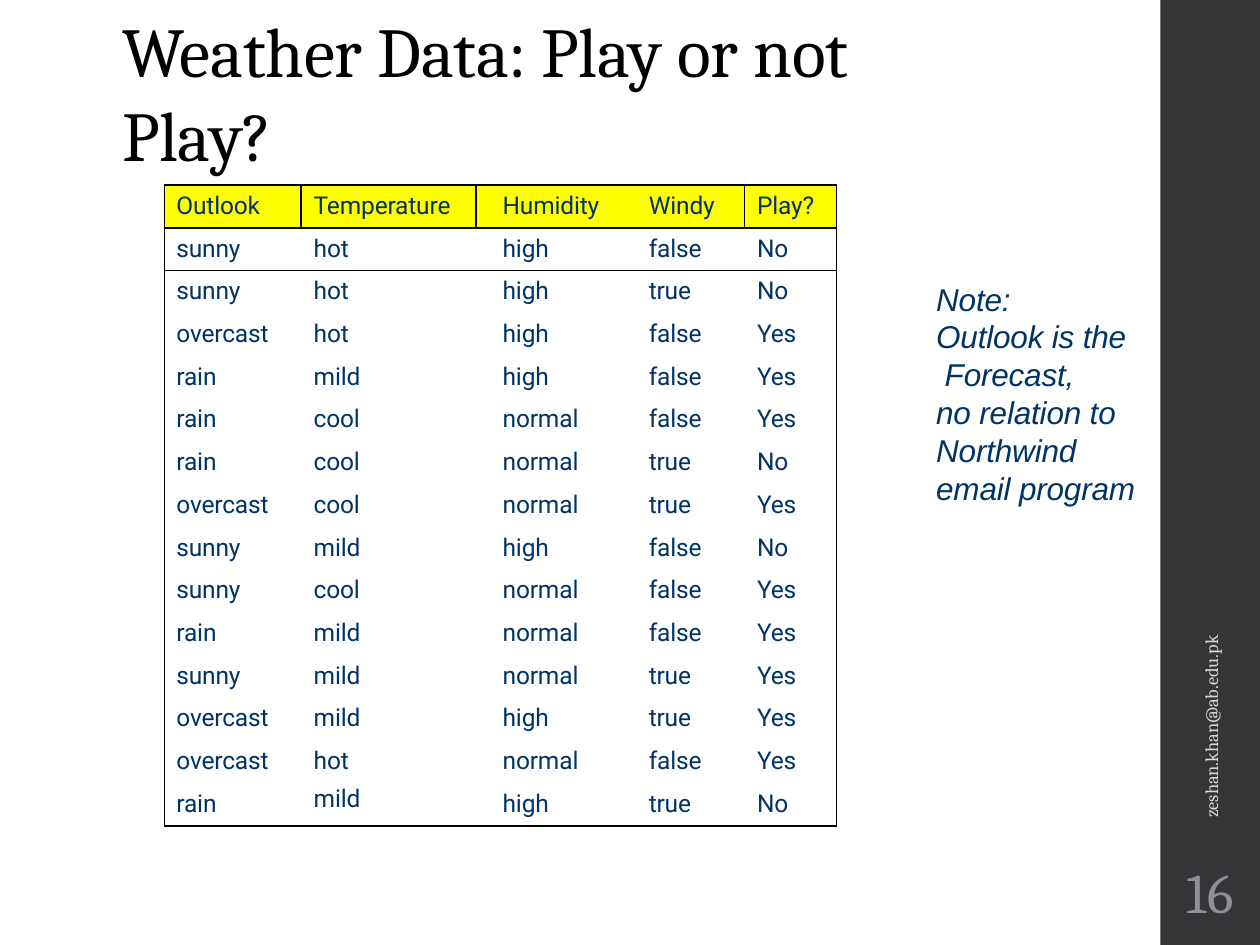
from dataclasses import dataclass

from lxml import etree
from pptx import Presentation
from pptx.dml.color import RGBColor
from pptx.enum.shapes import MSO_SHAPE
from pptx.enum.text import MSO_ANCHOR, MSO_AUTO_SIZE, PP_ALIGN
from pptx.oxml.ns import qn
from pptx.util import Inches, Pt

RECTANGLE = MSO_SHAPE.RECTANGLE
TOP, MIDDLE, BOTTOM = MSO_ANCHOR.TOP, MSO_ANCHOR.MIDDLE, MSO_ANCHOR.BOTTOM
LEFT, CENTER = PP_ALIGN.LEFT, PP_ALIGN.CENTER
NO_AUTOFIT = MSO_AUTO_SIZE.NONE
PLAIN_TABLE_STYLE = "{2D5ABB26-0587-4C30-8999-92F81FD0307C}"


@dataclass(frozen=True)
class TextStyle:
    font: str
    size: float
    color: str
    italic: bool = False
    spacing: float = 0


@dataclass(frozen=True)
class Theme:
    title = TextStyle("Cambria", 40, "000000", spacing=-0.1)
    cell = TextStyle("Roboto", 14, "003366", spacing=-0.1)
    note = TextStyle("Arial", 18, "003366", italic=True, spacing=-0.1)
    email = TextStyle("Cambria", 10.5, "D9D9DB")
    number = TextStyle("Cambria", 32, "8E8E94")
    band = "353537"
    header_fill = "FFFF00"
    border = "000000"
    thin, thick = 0.25, 1


WEATHER = [row.split() for row in """\
Outlook Temperature Humidity Windy Play?
sunny hot high false No
sunny hot high true No
overcast hot high false Yes
rain mild high false Yes
rain cool normal false Yes
rain cool normal true No
overcast cool normal true Yes
sunny mild high false No
sunny cool normal false Yes
rain mild normal false Yes
sunny mild normal true Yes
overcast mild high true Yes
overcast hot normal false Yes
rain mild high true No""".splitlines()]
COLUMN_SHARES = (10.9, 13.9, 11.7, 9.6, 7.3)
COLUMN_INDENTS = (0.1, 0.1, 0.21, 0.2, 0.1)
HEADER_DIVIDERS = {1, 2, 4}  # column edges drawn in the header row


class SlideBuilder:
    """Places elements by percent of the slide's width and height."""

    def __init__(self, presentation, theme):
        self.theme = theme
        self.width = presentation.slide_width
        self.height = presentation.slide_height
        self.slide = presentation.slides.add_slide(presentation.slide_layouts[5])

    def box(self, left, top, width, height):
        return (round(self.width * left / 100), round(self.height * top / 100),
                round(self.width * width / 100), round(self.height * height / 100))

    def add_styled_run(self, paragraph, text, style):
        run = paragraph.add_run()
        run.text = text
        run.font.name = style.font
        run.font.size = Pt(style.size)
        run.font.italic = style.italic
        run.font.color.rgb = RGBColor.from_string(style.color)
        run._r.get_or_add_rPr().set("spc", str(round(style.spacing * 100)))

    def fill_frame(self, frame, paragraphs, style, anchor, align, margins):
        """Fill in paragraphs, each a list of lines split by line breaks."""
        frame.word_wrap = True
        frame.auto_size = NO_AUTOFIT
        frame.vertical_anchor = anchor
        (frame.margin_left, frame.margin_top,
         frame.margin_right, frame.margin_bottom) = map(Inches, margins)
        for index, lines in enumerate(paragraphs):
            paragraph = frame.add_paragraph() if index else frame.paragraphs[0]
            paragraph.alignment = align
            for line_index, line in enumerate(lines):
                if line_index:
                    paragraph.add_line_break()
                self.add_styled_run(paragraph, line, style)

    def title(self, text, box):
        shape = self.slide.shapes.title
        shape.left, shape.top, shape.width, shape.height = self.box(*box)
        self.fill_frame(shape.text_frame, [[text]], self.theme.title,
                        BOTTOM, LEFT, (0.01, 0.01, 0, 0))

    def text(self, paragraphs, box, style, anchor=TOP, align=LEFT,
             margins=(0.1, 0.05, 0.1, 0.05), rotation=0):
        shape = self.slide.shapes.add_textbox(*self.box(*box))
        shape.rotation = rotation
        self.fill_frame(shape.text_frame, paragraphs, style, anchor, align, margins)

    def band(self, box):
        shape = self.slide.shapes.add_shape(RECTANGLE, *self.box(*box))
        shape.shadow.inherit = False
        shape.fill.solid()
        shape.fill.fore_color.rgb = RGBColor.from_string(self.theme.band)
        shape.line.fill.background()

    def cell_borders(self, cell, widths):
        """Draw left, right, top and bottom borders; zero means none."""
        properties = cell._tc.get_or_add_tcPr()
        for index, (side, width) in enumerate(zip("LRTB", widths)):
            line = etree.Element(qn(f"a:ln{side}"), w=str(int(Pt(width))))
            if width:
                fill = etree.SubElement(line, qn("a:solidFill"))
                etree.SubElement(fill, qn("a:srgbClr"), val=self.theme.border)
            else:
                etree.SubElement(line, qn("a:noFill"))
            properties.insert(index, line)

    def border_widths(self, row, column, row_count, column_count):
        thin, thick = self.theme.thin, self.theme.thick

        def vertical(edge):
            if edge in (0, column_count):
                return thin
            return thick if row == 0 and edge in HEADER_DIVIDERS else 0

        def horizontal(edge):
            return thick if edge in (0, 1, 2, row_count) else 0

        return (vertical(column), vertical(column + 1),
                horizontal(row), horizontal(row + 1))

    def table(self, rows, box):
        row_count, column_count = len(rows), len(rows[0])
        frame = self.slide.shapes.add_table(row_count, column_count, *self.box(*box))
        table = frame.table
        table.first_row = table.horz_banding = False
        table._tbl.tblPr.find(qn("a:tableStyleId")).text = PLAIN_TABLE_STYLE
        for column, share in zip(table.columns, COLUMN_SHARES):
            column.width = round(self.width * share / 100)
        for row, values in enumerate(rows):
            for column, value in enumerate(values):
                cell = table.cell(row, column)
                cell.margin_left = Inches(COLUMN_INDENTS[column])
                cell.margin_top = Inches(0.05)
                cell.margin_right = cell.margin_bottom = 0
                if row == 0:
                    cell.fill.solid()
                    cell.fill.fore_color.rgb = RGBColor.from_string(self.theme.header_fill)
                else:
                    cell.fill.background()
                paragraph = cell.text_frame.paragraphs[0]
                paragraph.space_before = Pt(4 if row < 2 else 3.8)
                self.add_styled_run(paragraph, value, self.theme.cell)
                self.cell_borders(
                    cell, self.border_widths(row, column, row_count, column_count))
        table.cell(row_count - 1, 1).text_frame.paragraphs[0].line_spacing = Pt(13.6)


def main():
    presentation = Presentation()
    presentation.slide_width, presentation.slide_height = Inches(10), Inches(7.5)
    theme = Theme()
    builder = SlideBuilder(presentation, theme)
    builder.band((92.1, 0, 7.9, 100))
    builder.title("Weather Data: Play or not Play?", (9.6, 10.13, 66.7, 8.4))
    builder.table(WEATHER, (13, 19.6, sum(COLUMN_SHARES), 67.8))
    builder.text([["Note:"], ["Outlook is the", " Forecast,"],
                  ["no relation to", "Northwind", "email program"]],
                 (74.2, 29.33, 16.5, 24.4), theme.note, margins=(0.01, 0.02, 0, 0))
    builder.text([["zeshan.khan@ab.edu.pk"]], (76.5, 59.73, 39.2, 4), theme.email,
                 anchor=MIDDLE, rotation=270)
    builder.text([["16"]], (92.3, 90, 7.5, 8.67), theme.number, anchor=MIDDLE,
                 align=CENTER, margins=(0.03, 0.05, 0.03, 0.05))
    presentation.save("out.pptx")


if __name__ == "__main__":
    main()
